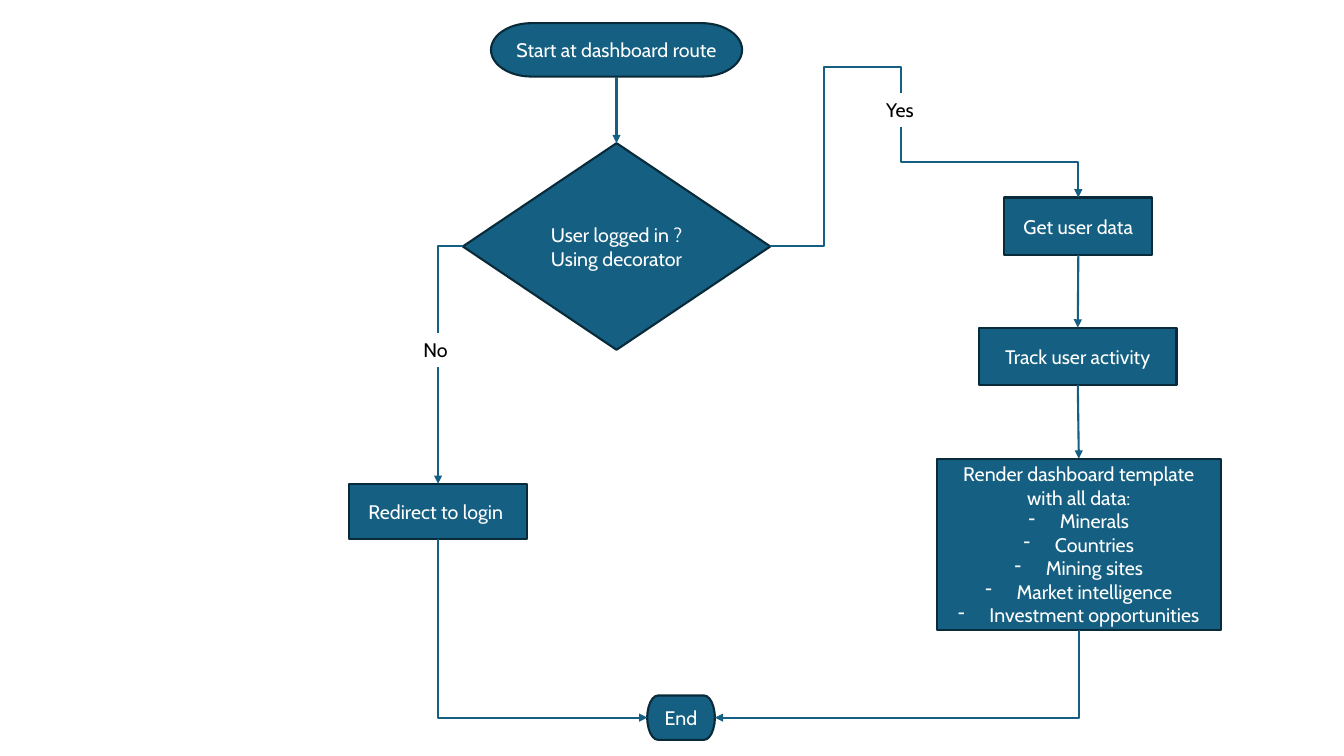
from lxml import etree
from pptx import Presentation
from pptx.dml.color import RGBColor
from pptx.enum.shapes import MSO_CONNECTOR, MSO_SHAPE
from pptx.enum.text import MSO_ANCHOR, MSO_AUTO_SIZE, PP_ALIGN
from pptx.oxml.ns import qn
from pptx.util import Inches, Pt

TERMINATOR = MSO_SHAPE.FLOWCHART_TERMINATOR
DIAMOND = MSO_SHAPE.DIAMOND
RECTANGLE = MSO_SHAPE.RECTANGLE
STRAIGHT = MSO_CONNECTOR.STRAIGHT
ELBOW = MSO_CONNECTOR.ELBOW
CENTER = PP_ALIGN.CENTER
MIDDLE = MSO_ANCHOR.MIDDLE
GROW = MSO_AUTO_SIZE.SHAPE_TO_FIT_TEXT
TOP, LEFT, BOTTOM, RIGHT = range(4)


def color(value):
    """Turn a hex string into a colour."""
    return RGBColor.from_string(value)


class Flowchart:
    """Style and drawing methods for the flowchart page."""

    font = "Cabin"
    size = Pt(14)
    weight = Pt(1.5)
    fill = "156082"
    outline = "092A39"
    light = "FFFFFF"
    dark = "000000"

    def __init__(self, page):
        """Keep the page to draw on."""
        self.page = page

    def set_text(self, frame, lines, ink, alignment=None):
        """Fill a text frame with formatted lines."""
        frame.text = "\n".join(lines)
        for para in frame.paragraphs:
            para.alignment = alignment
            for span in para.runs:
                span.font.name = self.font
                span.font.size = self.size
                span.font.color.rgb = color(ink)

    def step(self, kind, left, top, width, height, *lines):
        """Draw one filled step with centred text."""
        box = self.page.shapes.add_shape(
            kind, Inches(left), Inches(top), Inches(width), Inches(height))
        box.shadow.inherit = False
        box.fill.solid()
        box.fill.fore_color.rgb = color(self.fill)
        box.line.color.rgb = color(self.outline)
        box.line.width = self.weight
        box.text_frame.vertical_anchor = MIDDLE
        self.set_text(box.text_frame, lines, self.light, CENTER)
        return box

    def dashes(self, paragraphs):
        """Give paragraphs a hanging dash bullet."""
        indent = Inches(0.31)
        for para in paragraphs:
            properties = para._p.get_or_add_pPr()
            properties.set("marL", str(indent))
            properties.set("indent", str(-indent))
            etree.SubElement(properties, qn("a:buChar")).set("char", "-")

    def label(self, left, top, text):
        """Add a branch label."""
        box = self.page.shapes.add_textbox(
            Inches(left), Inches(top), Inches(0.49), Inches(0.34))
        box.text_frame.word_wrap = False
        box.text_frame.auto_size = GROW
        self.set_text(box.text_frame, [text], self.dark)
        return box

    def side(self, box, index):
        """Return the middle of one side of a box."""
        across = (box.width // 2, 0, box.width // 2, box.width)[index]
        down = (0, box.height // 2, box.height, box.height // 2)[index]
        return box.left + across, box.top + down

    def dress(self, connector, arrow):
        """Style a connector and add its arrowhead."""
        connector.line.color.rgb = color(self.fill)
        connector.line.width = self.weight
        if arrow:
            line = connector.line._get_or_add_ln()
            etree.SubElement(line, qn("a:tailEnd")).set("type", "triangle")
        etree.SubElement(connector._element.spPr, qn("a:effectLst"))

    def arrow(self, upper, lower):
        """Join two boxes by a straight downward arrow."""
        connector = self.page.shapes.add_connector(
            STRAIGHT, *self.side(upper, BOTTOM), *self.side(lower, TOP))
        connector.begin_connect(upper, BOTTOM)
        connector.end_connect(lower, TOP)
        self.dress(connector, True)

    def elbow(self, start, end, preset, turn=0, flip=None, bends=(), arrow=True):
        """Draw a bent connector between two points."""
        connector = self.page.shapes.add_connector(ELBOW, *start, *end)
        width, height = (abs(b - a) for a, b in zip(start, end))
        middle_x, middle_y = ((a + b) // 2 for a, b in zip(start, end))
        if turn in (90, 270):
            width, height = height, width
        connector.left, connector.top = middle_x - width // 2, middle_y - height // 2
        connector.width, connector.height = width, height
        frame = connector._element.spPr.find(qn("a:xfrm"))
        for name in ("flipH", "flipV"):
            frame.set(name, str(int(name == flip)))
        frame.set("rot", str(turn * 60000))
        geometry = connector._element.spPr.find(qn("a:prstGeom"))
        geometry.set("prst", preset)
        guides = geometry.find(qn("a:avLst"))
        for number, bend in enumerate(bends, 1):
            guide = etree.SubElement(guides, qn("a:gd"))
            guide.set("name", f"adj{number}")
            guide.set("fmla", f"val {round(bend * 100000)}")
        self.dress(connector, arrow)


def main():
    """Build and save the dashboard flowchart."""
    deck = Presentation()
    deck.slide_width, deck.slide_height = Inches(13.33), Inches(7.5)
    chart = Flowchart(deck.slides.add_slide(deck.slide_layouts[6]))
    side = chart.side

    start = chart.step(TERMINATOR, 4.87, 0.23, 2.49, 0.53, "Start at dashboard route")
    decision = chart.step(DIAMOND, 4.59, 1.42, 3.05, 2.05,
                          "User logged in ?", "Using decorator")
    get_data = chart.step(RECTANGLE, 9.96, 1.96, 1.47, 0.57, "Get user data")
    track = chart.step(RECTANGLE, 9.71, 3.25, 1.96, 0.57, "Track user activity")
    render = chart.step(RECTANGLE, 9.29, 4.55, 2.82, 1.7,
                        "Render dashboard template with all data:",
                        "Minerals", "Countries", "Mining sites",
                        "Market intelligence", "Investment opportunities")
    chart.dashes(render.text_frame.paragraphs[1:])
    login = chart.step(RECTANGLE, 3.46, 4.8, 1.77, 0.55, "Redirect to login ")
    end = chart.step(TERMINATOR, 6.42, 6.9, 0.67, 0.44, "End")
    yes = chart.label(8.69, 0.92, "Yes")
    no = chart.label(4.1, 3.3, "No")

    for upper, lower in ((start, decision), (no, login),
                         (get_data, track), (track, render)):
        chart.arrow(upper, lower)
    chart.elbow(side(decision, LEFT), side(no, TOP), "bentConnector2",
                180, "flipV", arrow=False)
    chart.elbow(side(login, BOTTOM), side(end, LEFT), "bentConnector2", 270, "flipH")
    chart.elbow(side(decision, RIGHT), side(yes, TOP), "bentConnector4",
                flip="flipV", bends=(0.41, 1.17), arrow=False)
    chart.elbow(side(yes, BOTTOM), side(get_data, TOP), "bentConnector3", 270, "flipH")
    chart.elbow(side(render, BOTTOM), side(end, RIGHT), "bentConnector2", 90)
    deck.save("out.pptx")


if __name__ == "__main__":
    main()
